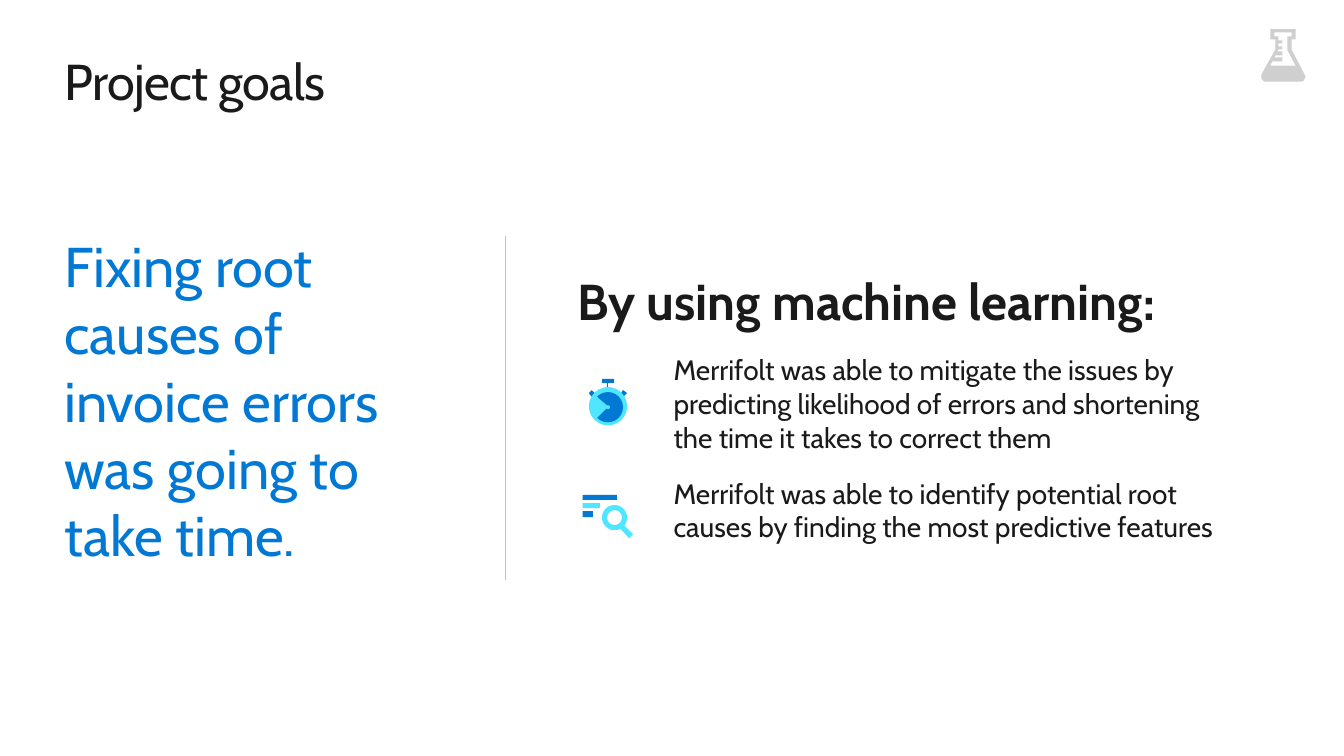
from dataclasses import dataclass
from typing import Optional

from lxml import etree
from pptx import Presentation
from pptx.dml.color import RGBColor
from pptx.enum.shapes import MSO_CONNECTOR as Connector, MSO_SHAPE as Preset
from pptx.enum.text import MSO_ANCHOR as Anchor
from pptx.oxml.ns import qn
from pptx.util import Pt

PX = 9144  # EMU in one px, 100 px to the inch
FONT = "Cabin"
COLOURS = {
    "ink": "1A1A1A",
    "blue": "0078D4",
    "cyan": "50E6FF",
    "grey": "CFCFCF",
    "rule": "BFBFBF",
}
Points = list[tuple[int, int]]


@dataclass
class Line:
    text: str
    size: int
    colour: str = "ink"
    bold: bool = False
    indent: int = 0
    before: float = 0
    after: float = 0
    tracking: int = 0


@dataclass
class TextBlock:
    box: tuple[int, int, int, int]
    lines: list[Line]
    anchor: Anchor = Anchor.TOP


@dataclass
class Part:
    preset: Preset
    box: tuple[int, int, int, int]
    colour: str
    adjustments: tuple[float, ...] = ()


@dataclass
class Outline:
    contours: list[Points]
    colour: str


TEXTS = [
    TextBlock((64, 50, 1205, 61), [Line("Project goals", 36, tracking=-50)]),
    TextBlock(
        (64, 228, 375, 337),
        [Line("Fixing root causes of invoice errors was going to take time.", 40, "blue")],
        Anchor.MIDDLE,
    ),
    TextBlock(
        (573, 268, 655, 310),
        [
            Line("By using machine learning:", 36, bold=True, after=12),
            Line(
                "Merrifolt was able to mitigate the issues by predicting likelihood of "
                "errors and shortening the time it takes to correct them",
                20, indent=95, before=4, after=12,
            ),
            Line(
                "Merrifolt was able to identify potential root causes by finding the "
                "most predictive features",
                20, indent=95, before=4,
            ),
        ],
    ),
]

FLASK = [
    Outline(
        [
            [(1294, 78), (1295, 76), (1294, 74), (1281, 49), (1281, 39), (1285, 39),
             (1285, 29), (1260, 29), (1260, 39), (1265, 39), (1265, 49), (1251, 74),
             (1251, 78), (1253, 80), (1254, 81), (1291, 81), (1293, 80)],
            [(1260, 65), (1262, 61), (1272, 61), (1272, 57), (1264, 57), (1265, 55),
             (1272, 55), (1272, 51), (1267, 51), (1268, 49), (1272, 49), (1272, 46),
             (1268, 46), (1268, 43), (1272, 43), (1272, 40), (1268, 40), (1268, 36),
             (1264, 36), (1264, 32), (1281, 32), (1281, 36), (1277, 36), (1277, 50),
             (1285, 65)],
        ],
        "grey",
    ),
]
SEARCH = [
    Part(Preset.RECTANGLE, (578, 499, 17, 5), "cyan"),
    Part(Preset.RECTANGLE, (578, 507, 10, 6), "blue"),
    Outline([[(617, 519), (613, 522), (624, 534), (628, 530)]], "cyan"),
    Part(Preset.DONUT, (597, 501, 25, 25), "cyan", (0.2,)),
    Part(Preset.RECTANGLE, (578, 491, 34, 5), "blue"),
]
STOPWATCH = [
    Outline([[(588, 395), (584, 390), (587, 387), (590, 390)]], "blue"),
    Outline([[(618, 394), (622, 390), (618, 387), (616, 390)]], "blue"),
    Part(Preset.OVAL, (584, 384, 38, 38), "cyan"),
    # Pie angles in degrees, scaled to the unit of an adjustment
    Part(Preset.PIE, (588, 389, 30, 30), "blue", (225 * 0.6, 135 * 0.6)),
    Part(Preset.RECTANGLE, (597, 376, 12, 4), "blue"),
    Part(Preset.RECTANGLE, (602, 380, 1, 4), "blue"),
    Part(Preset.OVAL, (601, 402, 4, 4), "cyan"),
    Outline([[(592, 394), (591, 395), (601, 403), (602, 402)]], "cyan"),
]


def rgb(name: str) -> RGBColor:
    return RGBColor.from_string(COLOURS[name])


def emu(values: tuple[int, ...]) -> list[int]:
    return [value * PX for value in values]


def add_text(page, block: TextBlock) -> None:
    frame = page.shapes.add_textbox(*emu(block.box)).text_frame
    layout = {"word_wrap": True, "vertical_anchor": block.anchor, "margin_left": 0,
              "margin_top": 0, "margin_right": 0, "margin_bottom": 0}
    for name, value in layout.items():
        setattr(frame, name, value)
    for index, line in enumerate(block.lines):
        para = frame.add_paragraph() if index else frame.paragraphs[0]
        if line.indent:
            properties = para._p.get_or_add_pPr()
            properties.set("marL", str(line.indent * PX))
            properties.set("indent", "0")
        if line.before:
            para.space_before = Pt(line.before)
        para.space_after = Pt(line.after)
        span = para.add_run()
        span.text = line.text
        formats = {"name": FONT, "size": Pt(line.size), "bold": line.bold}
        for name, value in formats.items():
            setattr(span.font, name, value)
        span.font.color.rgb = rgb(line.colour)
        if line.tracking:
            span._r.get_or_add_rPr().set("spc", str(line.tracking))


def draw_outline(shapes, outline: Outline):
    builder: Optional[object] = None
    for contour in outline.contours:
        start, *rest = [emu(point) for point in contour]
        if builder is None:
            builder = shapes.build_freeform(*start)
        else:
            builder.move_to(*start)
        builder.add_line_segments(rest, close=True)
    return builder.convert_to_shape()


def draw_preset(shapes, part: Part):
    shape = shapes.add_shape(part.preset, *emu(part.box))
    for index, value in enumerate(part.adjustments):
        shape.adjustments[index] = value
    return shape


def add_icon(page, parts: list[Part | Outline]) -> None:
    shapes = page.shapes.add_group_shape().shapes
    for part in parts:
        draw = draw_preset if isinstance(part, Part) else draw_outline
        shape = draw(shapes, part)
        shape.shadow.inherit = False
        shape.fill.solid()
        shape.fill.fore_color.rgb = rgb(part.colour)
        shape.line.fill.background()


def add_divider(page, x: int, top: int, bottom: int) -> None:
    divider = page.shapes.add_connector(Connector.STRAIGHT, *emu((x, bottom, x, top)))
    divider.line.color.rgb = rgb("rule")
    divider.line.width = Pt(0.5)
    etree.SubElement(divider._element.spPr, qn("a:effectLst"))


def main() -> None:
    deck = Presentation()
    deck.slide_width, deck.slide_height = emu((1333, 750))
    page = deck.slides.add_slide(deck.slide_layouts[6])
    # Title, statement and goals
    for block in TEXTS:
        add_text(page, block)
    # Rule between the two columns
    add_divider(page, 501, 234, 575)
    # Icons
    for icon in (FLASK, SEARCH, STOPWATCH):
        add_icon(page, icon)
    deck.save("out.pptx")


if __name__ == "__main__":
    main()
